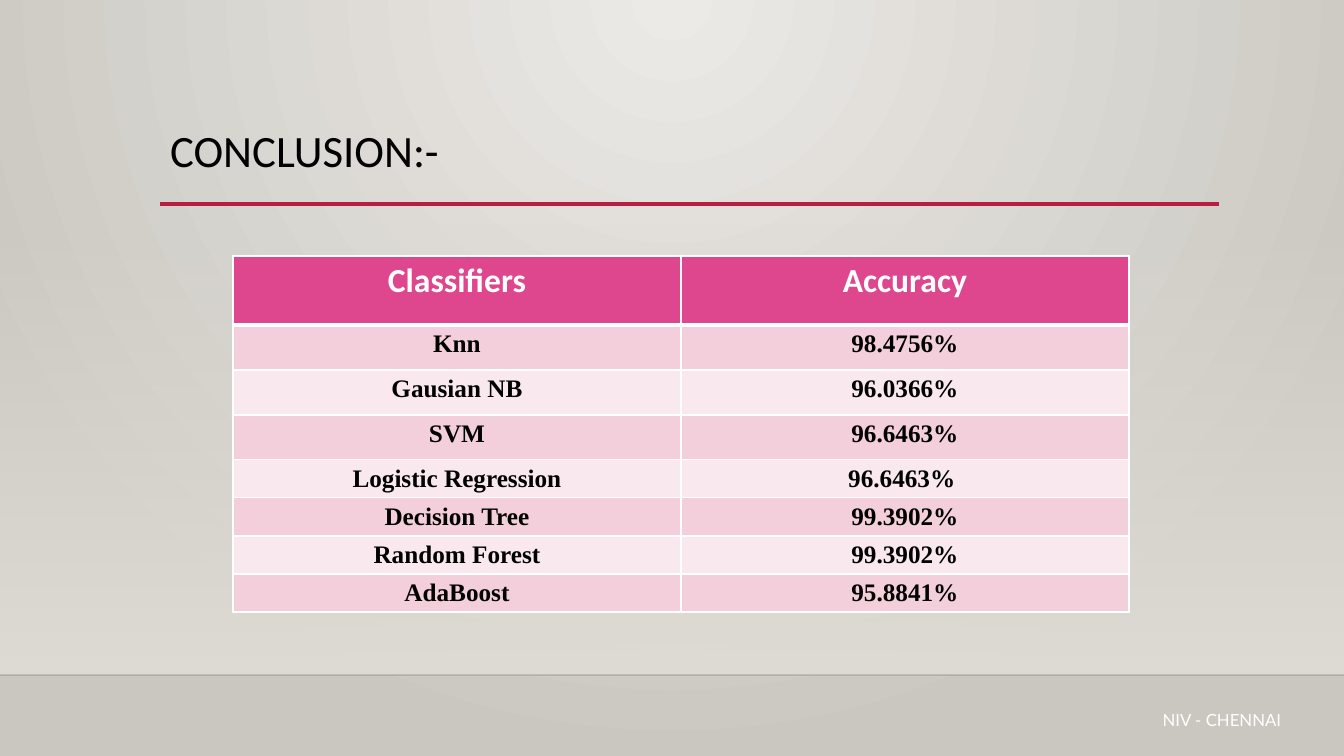
from lxml.etree import SubElement
from pptx import Presentation
from pptx.dml.color import RGBColor
from pptx.enum.shapes import MSO_CONNECTOR as Connector, MSO_SHAPE as Shape
from pptx.enum.text import MSO_ANCHOR as Anchor, PP_ALIGN as Align
from pptx.oxml import parse_xml
from pptx.oxml.ns import nsdecls, qn
from pptx.util import Emu, Pt

PAGE_SIZE = (1344, 756)
TITLE = "CONCLUSION:-"
FOOTER = "NIV - CHENNAI"
HEADINGS = ("Classifiers", "Accuracy")
RESULTS = [
    ("Knn", "98.4756%"),
    ("Gausian NB", "96.0366%"),
    ("SVM", "96.6463%"),
    ("Logistic Regression", "96.6463% "),
    ("Decision Tree", "99.3902%"),
    ("Random Forest", "99.3902%"),
    ("AdaBoost", "95.8841%"),
]
ROW_HEIGHTS = (69, 45, 45, 45, 38, 38, 38, 38)
COLUMN_WIDTH = 448
TABLE_LEFT, TABLE_TOP = 233, 256
FLOOR_TOP, FLOOR_LINE = 223, 675
TITLE_BOX = (160, 124, 1058, 81)
FOOTER_BOX = (1117, 705, 210, 30)
HEADING_FILL, BAND_FILLS = "DE478E", ("F2CFDB", "F9E9EE")
WHITE, BLACK = "FFFFFF", "000000"
CENTER_GLOW = ('<a:path path="circle">'
               '<a:fillToRect l="43000" t="0" r="43000" b="100000"/></a:path>')
DOWNWARD = '<a:lin ang="5400000" scaled="0"/>'


def px(length):
    return Emu(round(length * 914400 / 100.8))


def color(code):
    return RGBColor.from_string(code)


def write(frame, text, size, font, ink=BLACK, bold=False, align=Align.LEFT, spacing=1.0):
    para = frame.paragraphs[0]
    para.alignment = align
    para.line_spacing = spacing
    span = para.add_run()
    span.text = text
    span.font.size = Pt(size)
    span.font.name = font
    span.font.bold = bold
    span.font.color.rgb = color(ink)


def paint_gradient(holder, stops, direction):
    """Replace the solid fill inside holder with a gradient of (position, color, opacity)."""
    marks = "".join(
        f'<a:gs pos="{position * 1000}"><a:srgbClr val="{code}">'
        f'<a:alpha val="{opacity * 1000}"/></a:srgbClr></a:gs>'
        for position, code, opacity in stops)
    gradient = parse_xml(f'<a:gradFill {nsdecls("a")} rotWithShape="1">'
                         f'<a:gsLst>{marks}</a:gsLst>{direction}</a:gradFill>')
    holder.replace(holder.find(qn("a:solidFill")), gradient)


def add_rule(page, left, right, y, code, width, opacity=100):
    rule = page.shapes.add_connector(Connector.STRAIGHT, px(left), px(y), px(right), px(y))
    rule.line.width = Pt(width)
    rule.line.color.rgb = color(code)
    if opacity < 100:
        ink = rule.element.spPr.find(f'.//{qn("a:srgbClr")}')
        SubElement(ink, qn("a:alpha"), val=str(opacity * 1000))
    SubElement(rule.element.spPr, qn("a:effectLst"))


def add_borders(cell, top, bottom):
    properties = cell._tc.get_or_add_tcPr()
    for side, width in (("L", 1), ("R", 1), ("T", top), ("B", bottom)):
        properties.append(parse_xml(
            f'<a:ln{side} {nsdecls("a")} w="{Pt(width)}"><a:solidFill>'
            f'<a:srgbClr val="{WHITE}"/></a:solidFill></a:ln{side}>'))


def add_backdrop(page):
    page.background.fill.solid()
    paint_gradient(page.element.find(f'.//{qn("p:bgPr")}'),
                   [(0, "ECEAE7", 100), (100, "CAC7C1", 100)], CENTER_GLOW)
    width = PAGE_SIZE[0]
    floor = page.shapes.add_shape(Shape.RECTANGLE, 0, px(FLOOR_TOP - FLOOR_TOP),
                                  px(width), px(FLOOR_LINE))
    floor.top, floor.height = px(FLOOR_TOP), px(FLOOR_LINE - FLOOR_TOP)
    floor.shadow.inherit = False
    floor.line.fill.background()
    floor.fill.solid()
    paint_gradient(floor.element.spPr, [(0, "DFDBD5", 0), (100, "DFDBD5", 100)], DOWNWARD)
    add_rule(page, 0, width, FLOOR_LINE, "000001", 1, opacity=20)
    add_rule(page, 160, 1219, 204, "B71E42", 2.5)


def add_results(page):
    rows = [HEADINGS, *RESULTS]
    table = page.shapes.add_table(
        len(rows), len(HEADINGS), px(TABLE_LEFT), px(TABLE_TOP),
        px(COLUMN_WIDTH * len(HEADINGS)), px(sum(ROW_HEIGHTS))).table
    for column in table.columns:
        column.width = px(COLUMN_WIDTH)
    for index, (texts, height) in enumerate(zip(rows, ROW_HEIGHTS)):
        table.rows[index].height = px(height)
        heading = index == 0
        for cell, text in zip(table.rows[index].cells, texts):
            add_borders(cell, top=3 if index == 1 else 1, bottom=3 if heading else 1)
            cell.fill.solid()
            cell.fill.fore_color.rgb = color(
                HEADING_FILL if heading else BAND_FILLS[(index - 1) % 2])
            write(cell.text_frame, text, 24 if heading else 18,
                  "Calibri" if heading else "Times New Roman",
                  ink=WHITE if heading else BLACK, bold=True, align=Align.CENTER)


def main():
    deck = Presentation()
    deck.slide_width, deck.slide_height = map(px, PAGE_SIZE)
    page = deck.slides.add_slide(deck.slide_layouts[5])
    add_backdrop(page)
    title = page.shapes.title
    title.left, title.top, title.width, title.height = map(px, TITLE_BOX)
    title.text_frame.vertical_anchor = Anchor.TOP
    write(title.text_frame, TITLE, 32, "Calibri", spacing=0.9)
    add_results(page)
    footer = page.shapes.add_textbox(*map(px, FOOTER_BOX))
    footer.text_frame.word_wrap = True
    write(footer.text_frame, FOOTER, 12, "Lato", ink=WHITE, align=Align.CENTER)
    deck.save("out.pptx")


if __name__ == "__main__":
    main()
